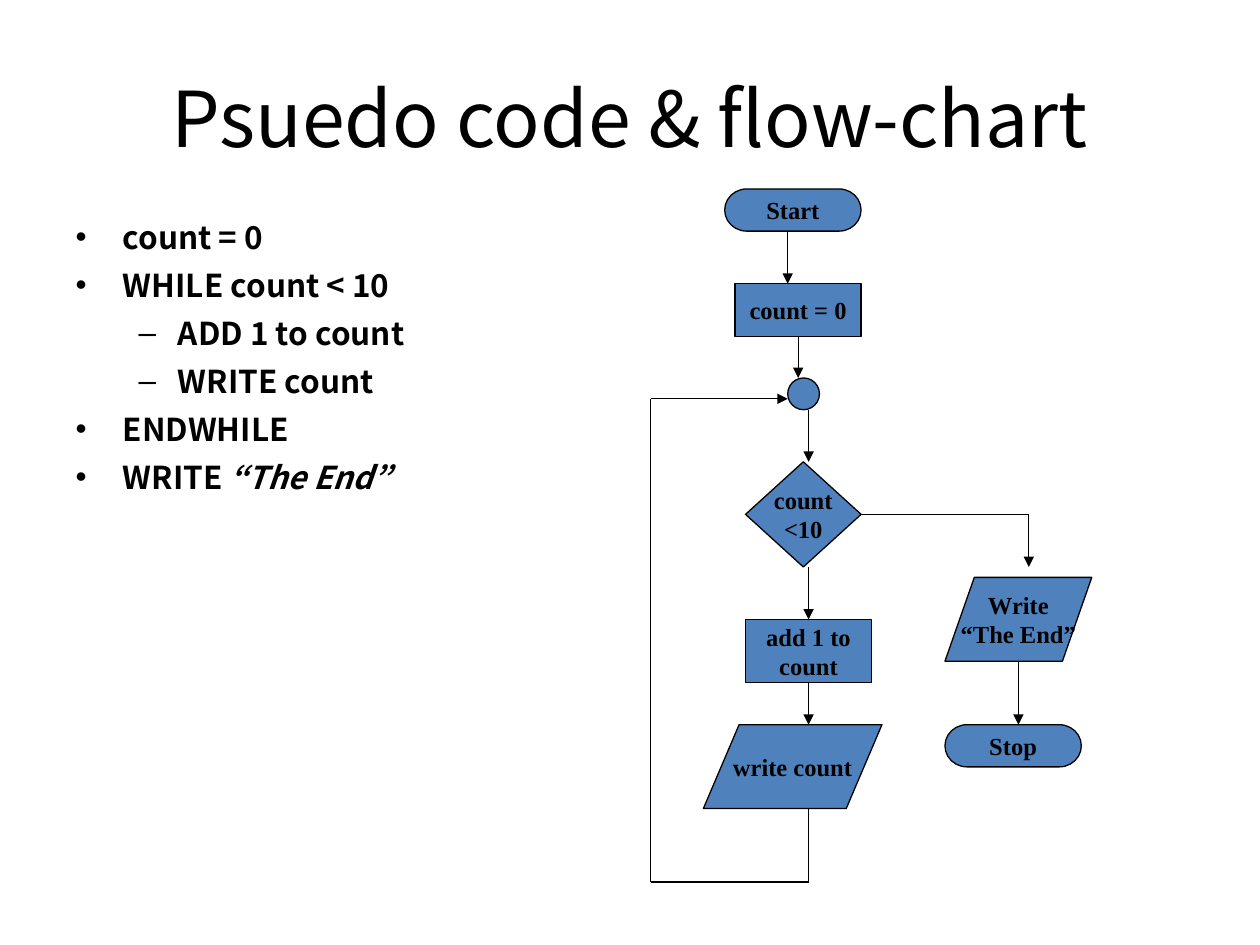
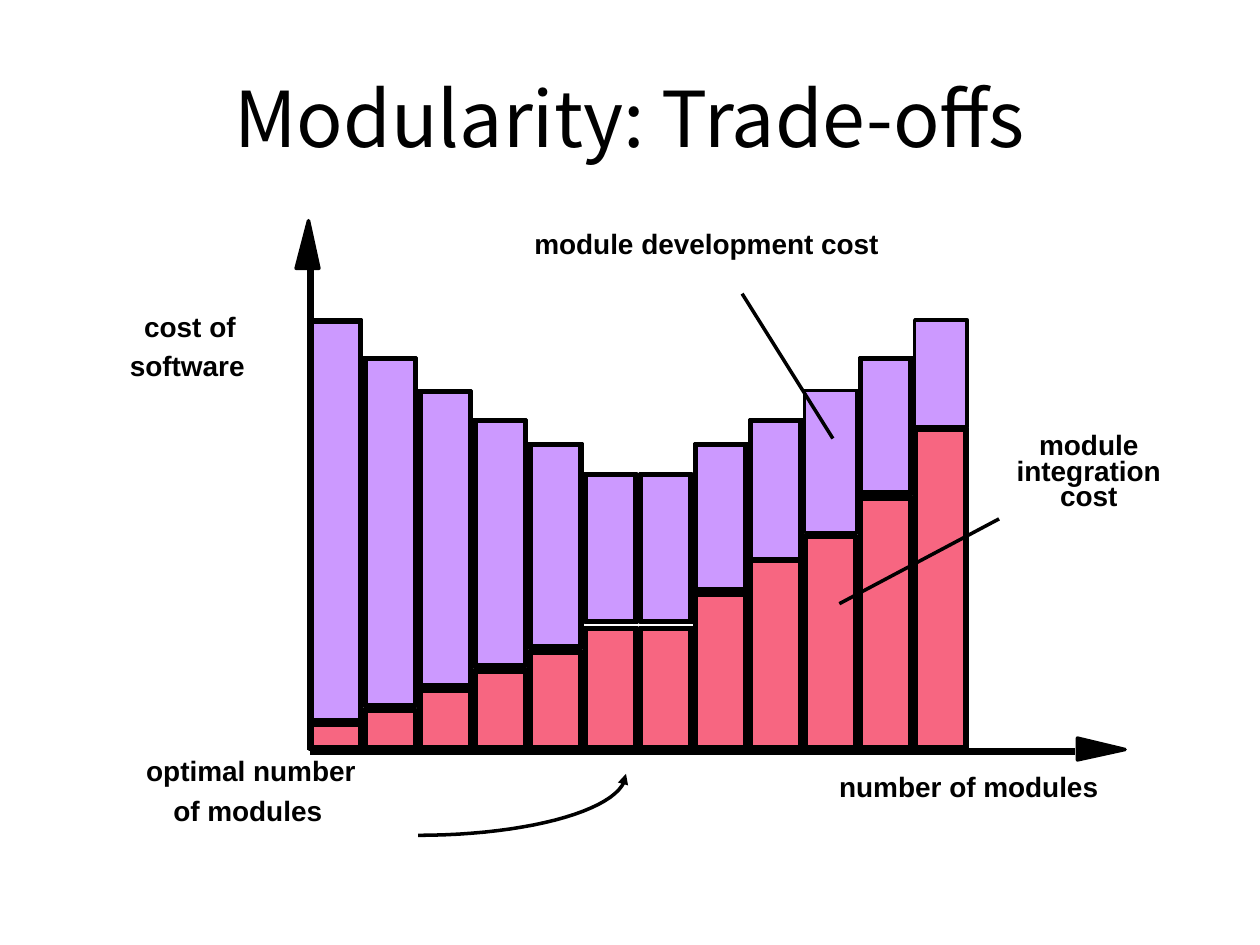
from math import cos, pi, sin

from lxml import etree
from pptx import Presentation
from pptx.dml.color import RGBColor
from pptx.enum.shapes import MSO_CONNECTOR, MSO_SHAPE as SHAPE
from pptx.enum.text import MSO_ANCHOR, MSO_AUTO_SIZE, PP_ALIGN
from pptx.oxml.ns import qn
from pptx.util import Cm, Pt

COLORS = {
    "ink": "000000",
    "flow": "4F81BD",
    "development": "CC99FF",
    "integration": "F76681",
}
HEADING_FONT = "Noto Sans CJK KR"


def format_text(frame, font, size, bold=True, align=PP_ALIGN.CENTER, spacing=None):
    """Give every paragraph and run of a text frame one look."""
    for paragraph in frame.paragraphs:
        paragraph.alignment = align
        paragraph.line_spacing = spacing
        for run in paragraph.runs:
            run.font.name = font
            run.font.size = Pt(size)
            run.font.bold = bold
            run.font.color.rgb = RGBColor.from_string(COLORS["ink"])


def draw(shape, width, fill=None, arrow=False):
    """Set outline, fill and an optional arrowhead, without any shadow."""
    shape.line.color.rgb = RGBColor.from_string(COLORS["ink"])
    shape.line.width = Pt(width)
    properties = shape.element.spPr
    if arrow:
        etree.SubElement(properties.find(qn("a:ln")), qn("a:tailEnd"), type="triangle")
    if fill:
        shape.fill.solid()
        shape.fill.fore_color.rgb = RGBColor.from_string(COLORS[fill])
    elif hasattr(shape, "fill"):
        shape.fill.background()
    etree.SubElement(properties, qn("a:effectLst"))


deck = Presentation()
deck.slide_width, deck.slide_height = Cm(25.4), Cm(19.05)
flow_slide = deck.slides.add_slide(deck.slide_layouts[1])
cost_slide = deck.slides.add_slide(deck.slide_layouts[5])

# Titles
for slide, heading in (
    (flow_slide, "Psuedo code & flow-chart"),
    (cost_slide, "Modularity: Trade-offs"),
):
    title = slide.shapes.title
    title.left, title.top, title.width, title.height = Cm(1.27), Cm(0.76), Cm(22.86), Cm(3.18)
    title.text_frame.text = heading
    title.text_frame.vertical_anchor = MSO_ANCHOR.MIDDLE
    format_text(title.text_frame, HEADING_FONT, 44, bold=False)

# Slide 1: pseudo code
code = flow_slide.placeholders[1]
code.left, code.top, code.width, code.height = Cm(1.27), Cm(4.45), Cm(22.86), Cm(12.57)
code_lines = [
    ("count = 0", 0),
    ("WHILE count < 10", 0),
    ("ADD 1 to count", 1),
    ("WRITE count", 1),
    ("ENDWHILE", 0),
    ("WRITE ", 0),
]
code.text_frame.text = "\n".join(line for line, level in code_lines)
code.text_frame.auto_size = MSO_AUTO_SIZE.NONE
for paragraph, (line, level) in zip(code.text_frame.paragraphs, code_lines):
    paragraph.level = level
    paragraph.space_before = Pt(11.2)
quote = code.text_frame.paragraphs[-1].add_run()
quote.text = "“The End”"
quote.font.italic = True
format_text(code.text_frame, HEADING_FONT, 18, align=PP_ALIGN.LEFT, spacing=0.75)

# Slide 1: flow chart steps as kind, left, top, width, height, text
steps = [
    (SHAPE.FLOWCHART_TERMINATOR, 14.61, 3.81, 2.75, 0.85, "Start"),
    (SHAPE.FLOWCHART_PROCESS, 14.82, 5.72, 2.54, 1.06, "count = 0"),
    (SHAPE.FLOWCHART_CONNECTOR, 15.88, 7.62, 0.64, 0.64, ""),
    (SHAPE.FLOWCHART_DECISION, 15.03, 9.31, 2.33, 2.12, "count\n<10"),
    (SHAPE.FLOWCHART_PROCESS, 15.03, 12.49, 2.54, 1.27, "add 1 to\ncount"),
    (SHAPE.FLOWCHART_DATA, 14.18, 14.61, 3.6, 1.69, "write count"),
    (SHAPE.FLOWCHART_DATA, 19.05, 11.64, 2.96, 1.69, "Write\n“The End”"),
    (SHAPE.FLOWCHART_TERMINATOR, 19.05, 14.61, 2.75, 0.85, "Stop"),
]
for kind, left, top, width, height, label in steps:
    step = flow_slide.shapes.add_shape(kind, Cm(left), Cm(top), Cm(width), Cm(height))
    draw(step, 0.74, "flow")
    step.text_frame.text = label
    step.text_frame.word_wrap = False
    step.text_frame.vertical_anchor = MSO_ANCHOR.MIDDLE
    format_text(step.text_frame, "Times New Roman", 14)

# Each route runs through its points and ends in an arrowhead
routes = [
    [(15.88, 4.66), (15.88, 5.72)],
    [(16.09, 6.77), (16.09, 7.62)],
    [(16.3, 8.26), (16.3, 9.31)],
    [(16.3, 11.43), (16.3, 12.49)],
    [(16.3, 13.76), (16.3, 14.61)],
    [(17.36, 10.37), (20.74, 10.37), (20.74, 11.43)],
    [(20.53, 13.34), (20.53, 14.61)],
    [(16.3, 16.3), (16.3, 17.78), (13.12, 17.78), (13.12, 8.04), (15.88, 8.04)],
]
for route in routes:
    for start, end in zip(route, route[1:]):
        leg = flow_slide.shapes.add_connector(
            MSO_CONNECTOR.STRAIGHT, Cm(start[0]), Cm(start[1]), Cm(end[0]), Cm(end[1])
        )
        draw(leg, 0.74, arrow=end == route[-1])

# Slide 2: stacked bars, each a filled core inside a frame
BASELINE, FIRST_BAR, BAR_STEP, BAR_WIDTH, INSET = 15.1, 6.23, 1.11, 1.06, 0.04
falling_tops = [6.45, 7.21, 7.87, 8.46, 8.94, 9.55]
development_tops = falling_tops + falling_tops[::-1]
development_ends = [14.55, 14.24, 13.84, 13.44, 13.06, 12.55,
                    12.55, 11.91, 11.3, 10.74, 9.96, 8.61]
integration_tops = [14.58, 14.3, 13.89, 13.51, 13.13, 12.65,
                    12.65, 11.96, 11.28, 10.8, 10.03, 8.64]
covered_bars = (9, 11)  # their development frame is filled as well
for bar, (dev_top, dev_end, int_top) in enumerate(
    zip(development_tops, development_ends, integration_tops)
):
    left = FIRST_BAR + bar * BAR_STEP
    for cost, top, end in (
        ("integration", int_top, BASELINE),
        ("development", dev_top, dev_end),
    ):
        covered = cost == "development" and bar in covered_bars
        for inset, fill in ((INSET, cost), (0, cost if covered else None)):
            part = cost_slide.shapes.add_shape(
                SHAPE.RECTANGLE, Cm(left + inset), Cm(top + inset),
                Cm(BAR_WIDTH - 2 * inset), Cm(end - top - 2 * inset),
            )
            draw(part, 2, fill)

# Slide 2: axes and pointers as start, end, line width
for x1, y1, x2, y2, width in (
    (6.25, 15.14, 21.67, 15.14, 4),
    (6.25, 15.11, 6.25, 5.36, 4),
    (14.96, 5.92, 16.79, 8.84, 2),
    (20.14, 10.46, 16.92, 12.17, 2),
):
    line = cost_slide.shapes.add_connector(
        MSO_CONNECTOR.STRAIGHT, Cm(x1), Cm(y1), Cm(x2), Cm(y2)
    )
    draw(line, width)

# Slide 2: axis tips, and a quarter ellipse towards the optimum
curve_angles = [pi / 2 * (1 - i / 24) for i in range(25)]
optimum_curve = [(8.43 + 4.19 * cos(a), 15.6 + 1.24 * sin(a)) for a in curve_angles]
for points, is_tip in (
    ([(22.68, 15.11), (21.72, 15.32), (21.72, 14.88)], True),
    ([(6.22, 4.45), (6.43, 5.41), (5.97, 5.41)], True),
    (optimum_curve, False),
):
    corners = [(Cm(x), Cm(y)) for x, y in points]
    builder = cost_slide.shapes.build_freeform(*corners[0])
    builder.add_line_segments(corners[1:], close=is_tip)
    draw(builder.convert_to_shape(), 2, "ink" if is_tip else None, arrow=not is_tip)

# Slide 2: labels as text, left, top, width, height, line spacing
for label, left, top, width, height, spacing in (
    ("optimal number", 2.6, 15.06, 4.92, 1.6, None),
    ("of modules", 3, 15.88, 3.99, 0.91, None),
    ("cost of", 2.19, 6.12, 3.28, 1.6, None),
    ("software", 2.05, 6.91, 3.45, 1.6, None),
    ("number of modules", 16.56, 15.39, 5.94, 0.91, None),
    ("module\nintegration\ncost", 20.1, 8.66, 3.7, 1.78, 0.75),
    ("module development cost", 10.33, 4.45, 7.83, 1.6, None),
):
    caption = cost_slide.shapes.add_textbox(Cm(left), Cm(top), Cm(width), Cm(height))
    caption.text_frame.text = label
    caption.text_frame.word_wrap = False
    caption.text_frame.auto_size = MSO_AUTO_SIZE.SHAPE_TO_FIT_TEXT
    format_text(caption.text_frame, "Arial", 16, spacing=spacing)

deck.save("out.pptx")
